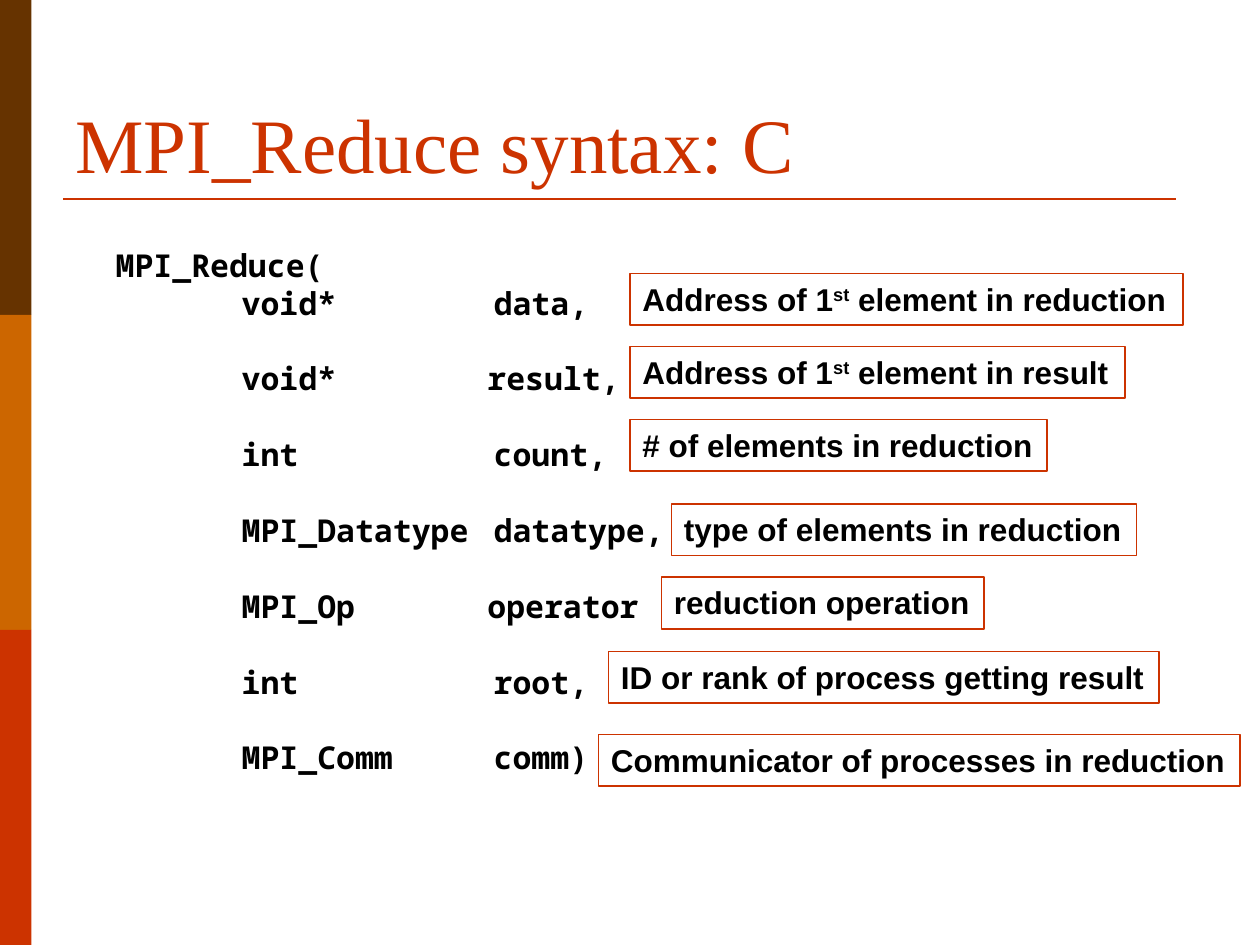
from pptx import Presentation
from pptx.dml.color import RGBColor
from pptx.enum import shapes, text
from pptx.oxml.ns import qn
from pptx.util import Inches, Pt
from lxml import etree

RED = RGBColor(0xCC, 0x33, 0x00)
BROWN = RGBColor(0x66, 0x33, 0x00)
ORANGE = RGBColor(0xCC, 0x66, 0x00)
BLACK = RGBColor(0, 0, 0)

TITLE = "MPI_Reduce syntax: C"
HEAD = "MPI_Reduce("
ARGS = [
    ("void*", "data,", 3),
    ("void*", "result,", 2.95),
    ("int", "count,", 3),
    ("MPI_Datatype", "datatype,", 3),
    ("MPI_Op", "operator", 2.95),
    ("int", "root,", 3),
    ("MPI_Comm", "comm)", 3),
]
NOTES = [
    (5, 2.17, 4.39, ["Address of 1", "st", " element in reduction"]),
    (5, 2.75, 3.93, ["Address of 1", "st", " element in result"]),
    (5, 3.33, 3.31, ["# of elements in reduction"]),
    (5.33, 4, 3.69, ["type of elements in reduction"]),
    (5.25, 4.58, 2.56, ["reduction operation"]),
    (4.83, 5.17, 4.37, ["ID or rank of process getting result"]),
    (4.75, 5.83, 5.09, ["Communicator of processes in reduction"]),
]
BIG = {"name": "Times New Roman", "size": Pt(44)}
CODE = {"name": "Noto Sans Mono", "size": Pt(18), "bold": True}
NOTE = {"name": "Arial", "size": Pt(18), "bold": True}
PITCH = Pt(21.65)


def style(font, form, color):
    for key, val in form.items():
        setattr(font, key, val)
    font.color.rgb = color


def add_rect(x, y, w, h):
    box = slide.shapes.add_shape(
        shapes.MSO_SHAPE.RECTANGLE, Inches(x), Inches(y), Inches(w), Inches(h))
    box.shadow.inherit = False
    return box


def add_text(x, y, w, h):
    frame = slide.shapes.add_textbox(
        Inches(x), Inches(y), Inches(w), Inches(h)).text_frame
    frame.word_wrap = True
    return frame


def add_tabs(para, stops):
    tabs = etree.SubElement(para._p.get_or_add_pPr(), qn("a:tabLst"))
    for stop in stops:
        etree.SubElement(tabs, qn("a:tab"), pos=str(Inches(stop)), algn="l")


def add_code(para, line, gap):
    para.line_spacing = PITCH
    para.space_before = gap
    run = para.add_run()
    run.text = line
    style(run.font, CODE, BLACK)


deck = Presentation()
deck.slide_width, deck.slide_height = Inches(10), Inches(7.5)
slide = deck.slides.add_slide(deck.slide_layouts[6])

for row, color in enumerate((BROWN, ORANGE, RED)):
    bar = add_rect(0, row * 2.5, 0.25, 2.5)
    bar.fill.solid()
    bar.fill.fore_color.rgb = color
    bar.line.fill.background()

rule = slide.shapes.add_connector(
    shapes.MSO_CONNECTOR.STRAIGHT, Inches(0.5), Inches(1.58), Inches(9.33), Inches(1.58))
rule.line.color.rgb = RED
rule.line.width = Pt(1.5)
etree.SubElement(rule._element.spPr, qn("a:effectLst"))

frame = add_text(0.5, 0.3, 9, 1.25)
frame.vertical_anchor = text.MSO_ANCHOR.BOTTOM
run = frame.paragraphs[0].add_run()
run.text = TITLE
style(run.font, BIG, RED)

frame = add_text(0.82, 1.9, 4.8, 4.31)
add_code(frame.paragraphs[0], HEAD, Pt(0))
for row, (kind, name, stop) in enumerate(ARGS):
    para = frame.add_paragraph()
    add_tabs(para, (1, stop))
    add_code(para, f"\t{kind}\t{name}", PITCH if row else Pt(0))

for x, y, w, parts in NOTES:
    box = add_rect(x, y, w, 0.41)
    box.fill.background()
    box.line.color.rgb = RED
    box.line.width = Pt(1)
    frame = box.text_frame
    frame.word_wrap = False
    frame.vertical_anchor = text.MSO_ANCHOR.TOP
    para = frame.paragraphs[0]
    para.alignment = text.PP_ALIGN.LEFT
    for part in parts:
        run = para.add_run()
        run.text = part
        style(run.font, NOTE, BLACK)
        if part == "st":
            run.font._element.set("baseline", "30000")

deck.save("out.pptx")
